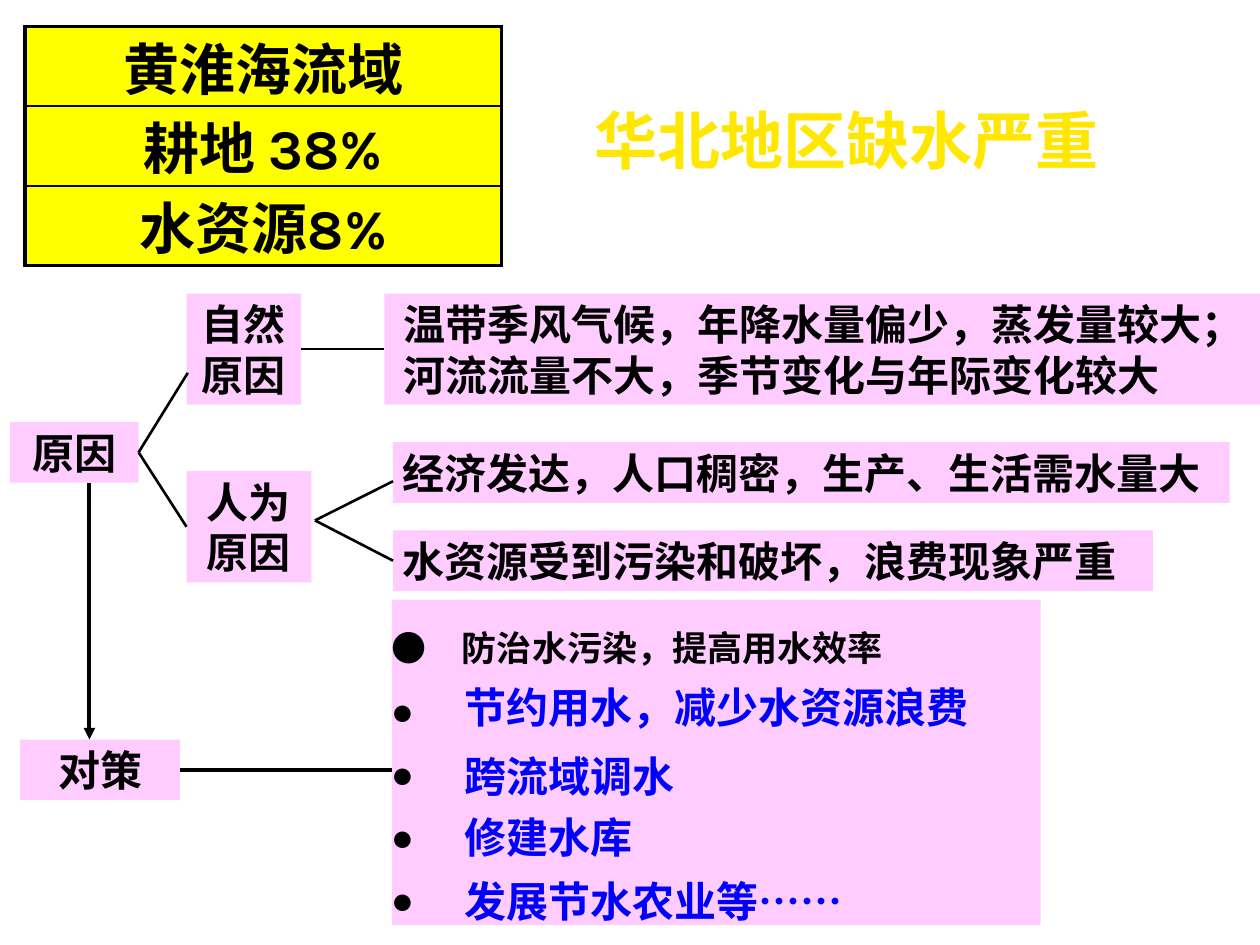
from dataclasses import dataclass

from lxml.etree import SubElement
from pptx import Presentation
from pptx.dml.color import RGBColor
from pptx.enum.shapes import MSO_CONNECTOR as CONN, MSO_SHAPE as SHAPE
from pptx.enum.text import MSO_ANCHOR as ANCHOR, PP_ALIGN as ALIGN
from pptx.oxml.ns import qn
from pptx.util import Pt


@dataclass(frozen=True)
class Theme:
    """Colours, fonts and type sizes of the slide."""
    pink: RGBColor = RGBColor(0xFF, 0xCC, 0xFF)
    yellow: RGBColor = RGBColor(0xFF, 0xFF, 0x00)
    gold: RGBColor = RGBColor(0xFF, 0xE7, 0x01)
    blue: RGBColor = RGBColor(0x00, 0x00, 0xFF)
    black: RGBColor = RGBColor(0x00, 0x00, 0x00)
    latin: str = "Calibri"
    digits: str = "Karla"
    cjk: str = "Noto Sans CJK SC"
    title: int = 36
    figure: int = 32
    body: int = 24
    small: int = 20


T = Theme()
LEFT, RIGHT = 1, 3


def add_run(p, text, size=T.body, color=T.black, font=T.latin):
    """Add one bold run to a paragraph."""
    r = p.add_run()
    r.text = text
    r.font.size, r.font.bold, r.font.name = Pt(size), True, font
    r.font.color.rgb = color
    SubElement(r._r.get_or_add_rPr(), qn("a:ea"), typeface=T.cjk)


def add_box(s, x, y, w, h, lines, size=T.body, align=ALIGN.CENTER, indent=0, spacing=None):
    """Add a pink box with one paragraph for each line."""
    sp = s.shapes.add_shape(SHAPE.RECTANGLE, Pt(x), Pt(y), Pt(w), Pt(h))
    sp.shadow.inherit = False
    sp.fill.solid()
    sp.fill.fore_color.rgb = T.pink
    sp.line.fill.background()
    tf = sp.text_frame
    tf.word_wrap, tf.vertical_anchor = True, ANCHOR.TOP
    tf.margin_left = tf.margin_right = 0
    tf.margin_top = tf.margin_bottom = Pt(3)
    for i, line in enumerate(lines):
        p = tf.add_paragraph() if i else tf.paragraphs[0]
        p.alignment, p.line_spacing = align, spacing
        p._p.get_or_add_pPr().set("marL", str(Pt(indent)))
        add_run(p, line, size)
    return sp


def add_label(s, x, y, w, h, text, size, color, align=ALIGN.LEFT, wrap=True):
    """Add a text box of one line."""
    tf = s.shapes.add_textbox(Pt(x), Pt(y), Pt(w), Pt(h)).text_frame
    tf.word_wrap = wrap
    p = tf.paragraphs[0]
    p.alignment = align
    add_run(p, text, size, color, T.cjk)


def add_line(s, x1, y1, x2, y2, width=1.5, begin=None, end=None, arrow=False):
    """Add a straight line, joined to boxes given as (shape, side)."""
    c = s.shapes.add_connector(CONN.STRAIGHT, Pt(x1), Pt(y1), Pt(x2), Pt(y2))
    c.line.color.rgb, c.line.width = T.black, Pt(width)
    if begin:
        c.begin_connect(*begin)
    if end:
        c.end_connect(*end)
    if arrow:
        SubElement(c.line._get_or_add_ln(), qn("a:tailEnd"), type="triangle")
    SubElement(c._element.spPr, qn("a:effectLst"))


def set_borders(cell, **widths):
    """Give a cell black borders of the given widths."""
    tc_pr = cell._tc.get_or_add_tcPr()
    for i, (side, width) in enumerate(widths.items()):
        ln = tc_pr.makeelement(qn(f"a:{side}"), {"w": str(Pt(width))})
        fill = SubElement(ln, qn("a:solidFill"))
        SubElement(fill, qn("a:srgbClr"), val=str(T.black))
        tc_pr.insert(i, ln)


def add_basin_table(s, x, y, w, h):
    """Place the table of the basin's shares."""
    rows = ["黄淮海流域", "耕地 38%", "水资源8%"]
    last = len(rows) - 1
    table = s.shapes.add_table(len(rows), 1, Pt(x), Pt(y), Pt(w), Pt(h)).table
    table.first_row = table.horz_banding = False
    for i, text in enumerate(rows):
        table.rows[i].height = Pt(h / len(rows))
        cell = table.cell(i, 0)
        cell.fill.solid()
        cell.fill.fore_color.rgb = T.yellow
        cell.vertical_anchor = ANCHOR.BOTTOM
        cell.margin_top, cell.margin_bottom = Pt(5), 0
        p = cell.text_frame.paragraphs[0]
        p.alignment, p.line_spacing = ALIGN.CENTER, Pt(40)
        add_run(p, text, T.figure, font=T.digits)
        set_borders(cell, lnL=2.25, lnR=2.25, lnT=1 if i else 2.25,
                    lnB=2.25 if i == last else 1)


def add_causes(s, x, y, w, h):
    """Place the tree of causes and return its root box."""
    tall = h * 0.385
    root = add_box(s, x, y + 73.4, 73.4, 34.6, ["原因"])
    nature = add_box(s, x + 100.8, y, 65.5, tall, ["自然原因"])
    human = add_box(s, x + 100.8, y + 101.5, 71.3, tall, ["人为原因"])
    climate = add_box(s, x + 213.8, y, w - 213.8, tall,
                      ["温带季风气候，年降水量偏少，蒸发量较大；",
                       "河流流量不大，季节变化与年际变化较大"],
                      align=ALIGN.LEFT, indent=10.8)
    detail_x = x + 218.8
    add_box(s, detail_x, y + 84.9, 478.1, 34.6,
            ["经济发达，人口稠密，生产、生活需水量大"], align=ALIGN.LEFT, indent=5.4)
    waste = add_box(s, detail_x, y + 135.3, 434.2, 34.6,
                    ["水资源受到污染和破坏，浪费现象严重"], align=ALIGN.LEFT, indent=5.4)
    add_line(s, 0, 0, 0, 0, begin=(nature, RIGHT), end=(climate, LEFT))
    add_line(s, 0, 0, x + 101.5, y + 45.3, begin=(root, RIGHT))
    add_line(s, 0, 0, 0, 0, begin=(root, RIGHT), end=(human, LEFT))
    fork_x, fork_y = x + 174.2, y + 129.6
    add_line(s, fork_x, fork_y, detail_x, y + 107.2)
    add_line(s, fork_x, fork_y, 0, 0, end=(waste, LEFT))
    return root


def add_measures(s, x, y, w, h, root):
    """Place the measures and link them to the root of the causes."""
    head = add_box(s, x, y + 79.9, 91.4, 34.6, ["对策"])
    panel_x = x + 212.4
    add_box(s, panel_x, y, w - 212.4, h, ["●　防治水污染，提高用水效率"] + ["●"] * 4,
            T.small, ALIGN.LEFT, spacing=1.5)
    measures = {43.2: "节约用水，减少水资源浪费", 82.8: "跨流域调水",
                117.4: "修建水库", 154.1: "发展节水农业等……"}
    for dy, text in measures.items():
        add_label(s, panel_x + 34.6, y + dy, 380, 36, text, T.body, T.blue)
    add_line(s, 0, 0, panel_x, y + 97.2, 2.25, begin=(head, RIGHT))
    arrow_x = x + 39.6
    add_line(s, arrow_x, root.top.pt + root.height.pt, arrow_x, head.top.pt, 2.25, arrow=True)


def main():
    """Build the slide and save it."""
    prs = Presentation()
    prs.slide_width, prs.slide_height = Pt(720), Pt(540)
    s = prs.slides.add_slide(prs.slide_layouts[6])
    add_basin_table(s, 14.4, 15.1, 272.2, 136.8)
    add_label(s, 286.6, 54.7, 393.8, 56.2, "华北地区缺水严重", T.title, T.gold, ALIGN.CENTER, False)
    root = add_causes(s, 5.8, 167.8, 714.2, 164.9)
    add_measures(s, 11.5, 342.7, 583.2, 185.8, root)
    prs.save("out.pptx")


if __name__ == "__main__":
    main()
